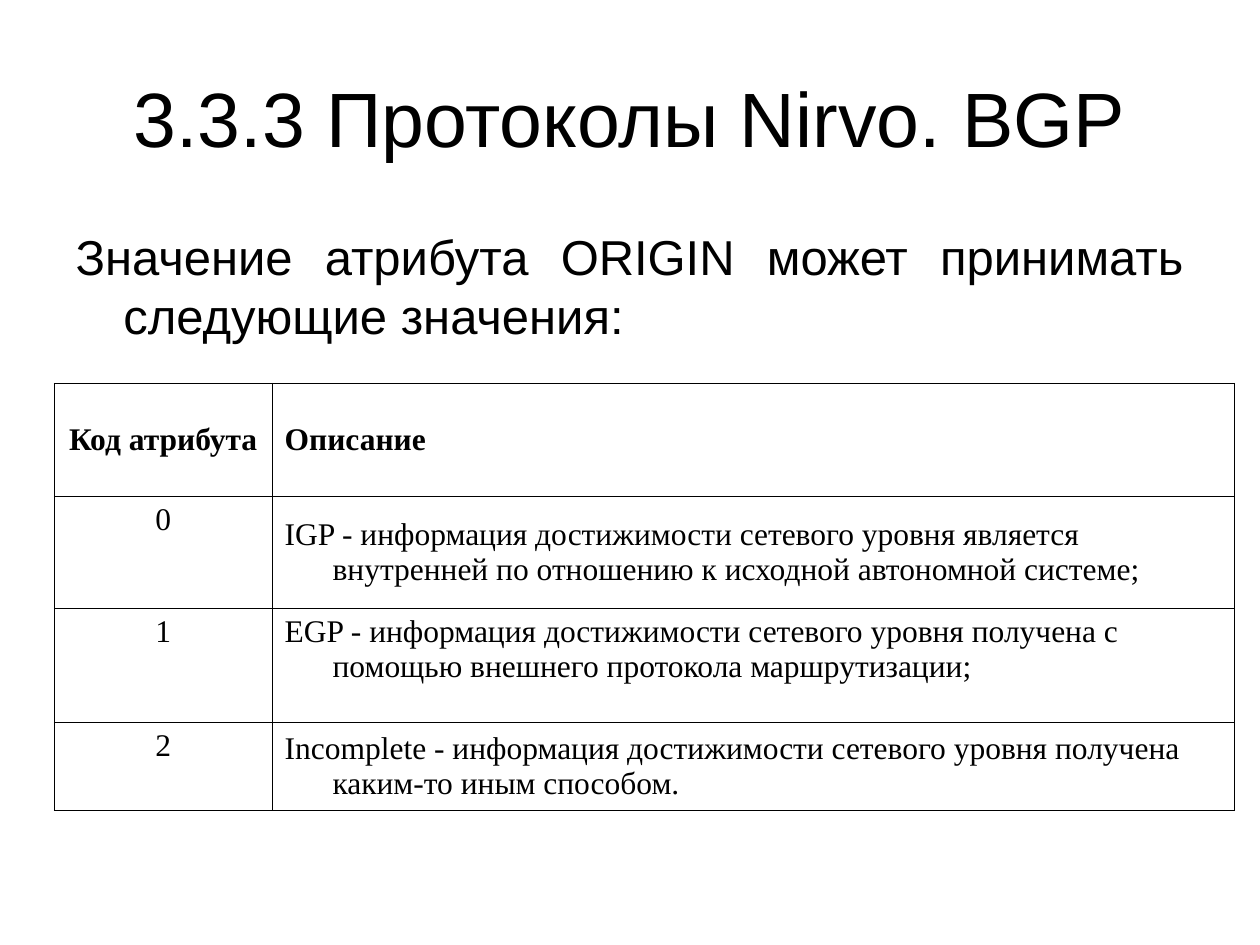
from pptx import Presentation
from pptx.dml.color import RGBColor as Rgb
from pptx.enum.text import MSO_ANCHOR as Anchor, MSO_AUTO_SIZE as Fit, PP_ALIGN as Align
from pptx.oxml import parse_xml
from pptx.oxml.ns import nsdecls
from pptx.util import Inches, Pt

COLORS = {"ink": "000000"}
HANG = 0.38
ROWS = [
    ("Код атрибута", "Описание", 0.9, Anchor.MIDDLE, Anchor.MIDDLE),
    ("0", "IGP - информация достижимости сетевого уровня является внутренней "
     "по отношению к исходной автономной системе;", 0.89, Anchor.TOP, Anchor.MIDDLE),
    ("1", "EGP - информация достижимости сетевого уровня получена с помощью "
     "внешнего протокола маршрутизации;", 0.9, Anchor.TOP, Anchor.TOP),
    ("2", "Incomplete - информация достижимости сетевого уровня получена "
     "каким-то иным способом.", 0.7, Anchor.TOP, Anchor.MIDDLE),
]


class Page:
    """Holds the style and the current slide."""

    def __init__(self, deck):
        self.slide = deck.slides.add_slide(deck.slide_layouts[1])
        self.sans, self.serif = "Arial", "Times New Roman"
        self.ink = COLORS["ink"]

    def text(self, frame, words, size, face, align, bold=False):
        par = frame.paragraphs[0]
        par.alignment = align
        run = par.add_run()
        run.text = words
        font = run.font
        font.size, font.name, font.bold = Pt(size), face, bold
        font.color.rgb = Rgb.from_string(self.ink)
        return par

    def hang(self, par):
        props = par._p.get_or_add_pPr()
        props.set("marL", str(Inches(HANG)))
        props.set("indent", str(-Inches(HANG)))
        return props

    def place(self, shape, box, anchor):
        shape.left, shape.top, shape.width, shape.height = map(Inches, box)
        frame = shape.text_frame
        frame.auto_size, frame.vertical_anchor = Fit.NONE, anchor
        return frame

    def title(self, words, box):
        frame = self.place(self.slide.shapes.title, box, Anchor.MIDDLE)
        self.text(frame, words, 44, self.sans, Align.CENTER)

    def body(self, words, box):
        frame = self.place(self.slide.placeholders[1], box, Anchor.TOP)
        par = self.text(frame, words, 28, self.sans, Align.JUSTIFY)
        par.space_before = Pt(7)
        self.hang(par).append(parse_xml(f"<a:buNone {nsdecls('a')}/>"))

    def border(self, cell):
        props = cell._tc.get_or_add_tcPr()
        for side in ("lnL", "lnR", "lnT", "lnB"):
            props.append(parse_xml(
                f'<a:{side} {nsdecls("a")} w="{Pt(0.34)}"><a:solidFill>'
                f'<a:srgbClr val="{self.ink}"/></a:solidFill></a:{side}>'))

    def cell(self, cell, words, align, anchor, bold):
        self.border(cell)
        cell.fill.background()
        cell.vertical_anchor = anchor
        cell.margin_left = cell.margin_right = Inches(0.1)
        cell.margin_top = cell.margin_bottom = Inches(0.05)
        self.hang(self.text(cell.text_frame, words, 18, self.serif, align, bold))

    def table(self, rows, left, top, cols):
        high = sum(row[2] for row in rows)
        box = map(Inches, (left, top, sum(cols), high))
        grid = self.slide.shapes.add_table(len(rows), len(cols), *box).table
        grid.first_row = grid.horz_banding = False
        for col, width in zip(grid.columns, cols):
            col.width = Inches(width)
        for num, (code, note, tall, *anchors) in enumerate(rows):
            grid.rows[num].height = Inches(tall)
            self.cell(grid.cell(num, 0), code, Align.CENTER, anchors[0], num == 0)
            self.cell(grid.cell(num, 1), note, Align.LEFT, anchors[1], num == 0)


def main():
    deck = Presentation()
    deck.slide_width, deck.slide_height = Inches(10), Inches(7.5)
    page = Page(deck)
    page.title("3.3.3 Протоколы Nirvo. BGP", (0.5, 0.3, 9, 1.25))
    page.body("Значение атрибута ORIGIN может принимать следующие значения:",
              (0.5, 1.75, 8.99, 1.22))
    page.table(ROWS, 0.43, 3.04, (1.73, 7.64))
    deck.save("out.pptx")


if __name__ == "__main__":
    main()
